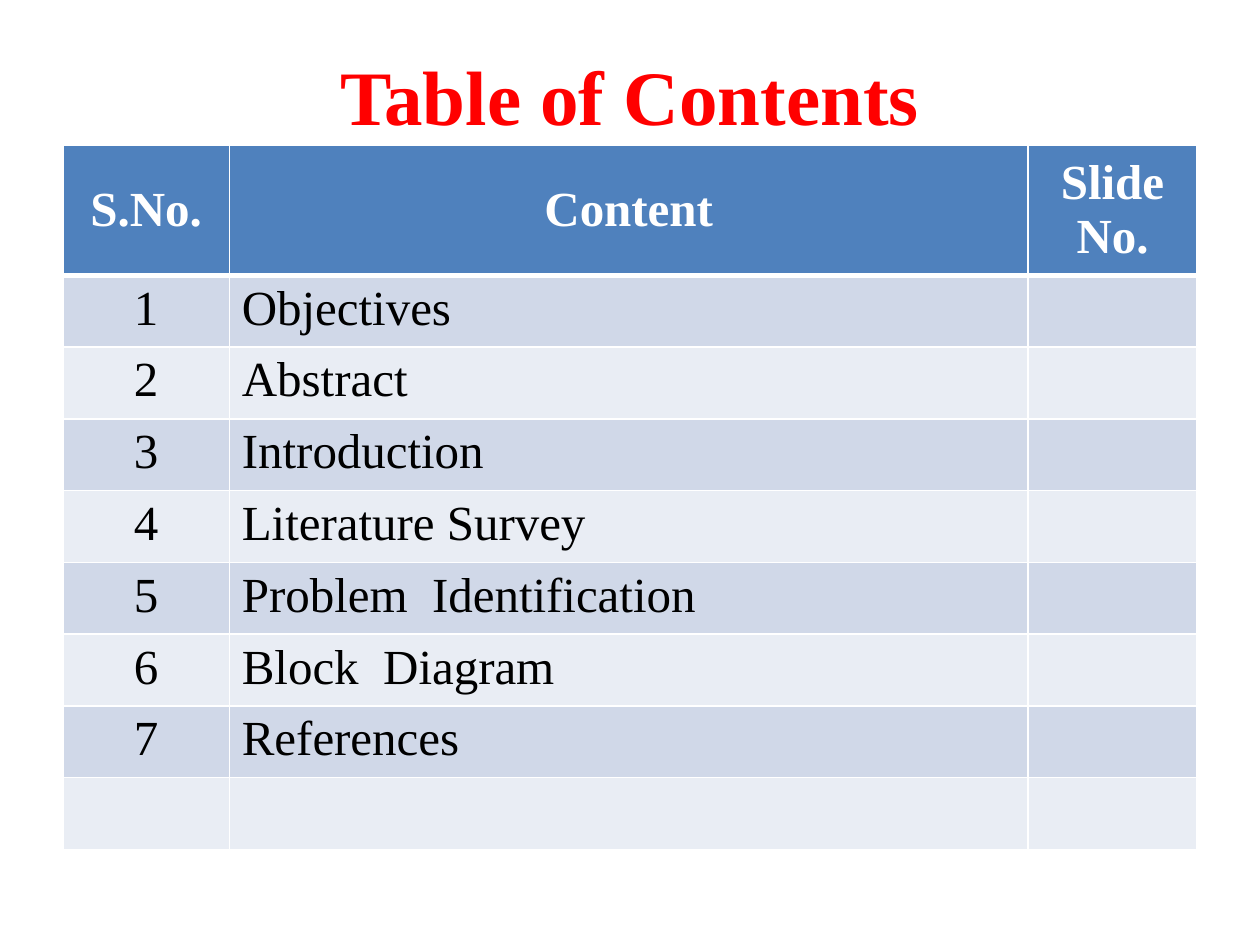
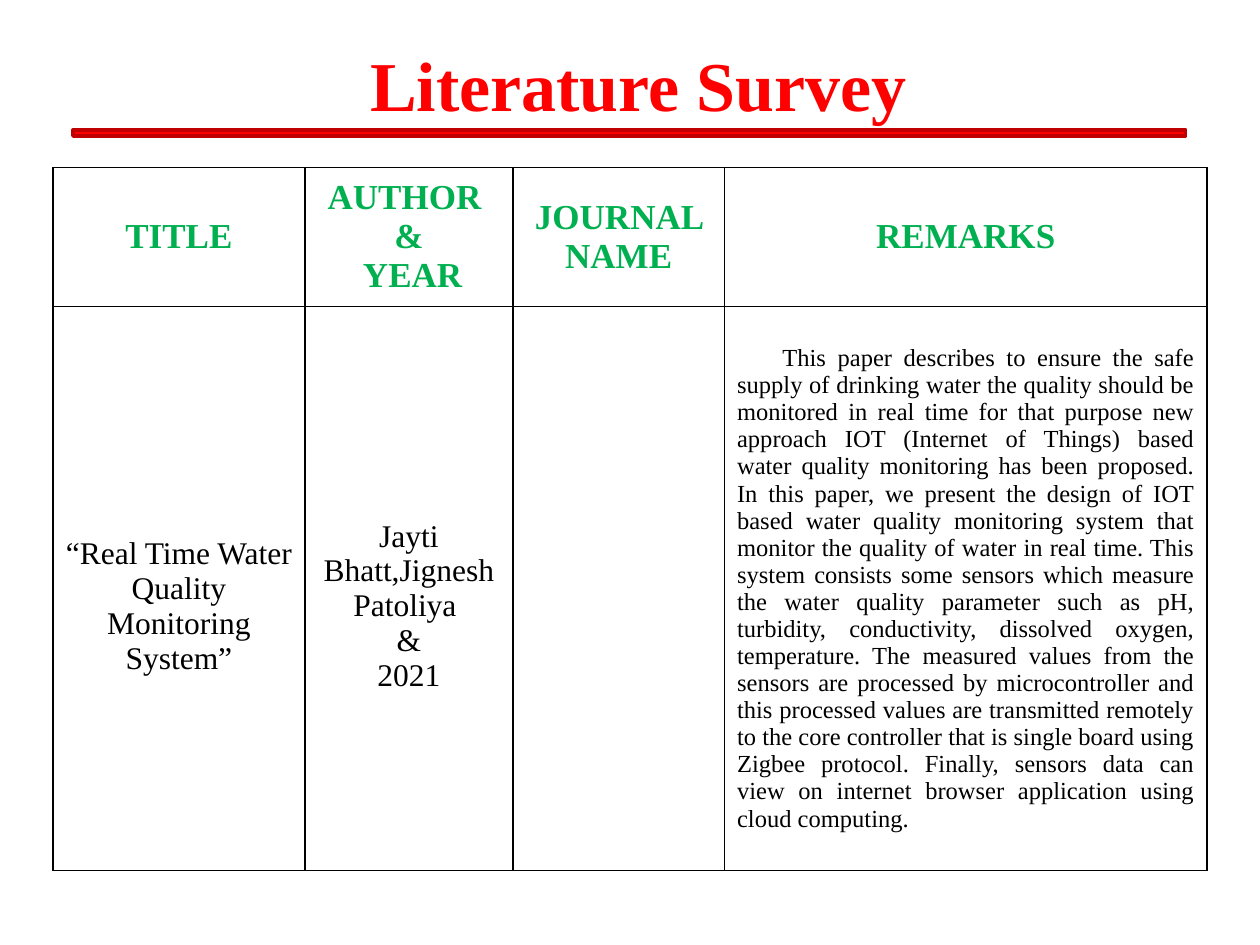
"""Builds the contents slide and the literature survey slide."""
import pptx
import pptx.dml.color
import pptx.enum.shapes
import pptx.enum.text
import pptx.oxml
import pptx.oxml.ns
import pptx.util

Inches = pptx.util.Inches
Pt = pptx.util.Pt
ALIGN = pptx.enum.text.PP_ALIGN
MIDDLE = pptx.enum.text.MSO_ANCHOR.MIDDLE
TOP = pptx.enum.text.MSO_ANCHOR.TOP

FACE = "Times New Roman"
RED, DARK, GREEN = "FF0000", "C00000", "00B050"
BLACK, WHITE, BLUE = "000000", "FFFFFF", "4F81BD"
BANDS = ["D0D8E8", "E9EDF4"]
PLAIN = "{2D5ABB26-0587-4C30-8999-92F81FD0307C}"

TOPICS = ["Objectives", "Abstract", "Introduction", "Literature Survey",
          "Problem  Identification", "Block  Diagram", "References"]
INDEX = [["S.No.", "Content", "Slide No."]]
INDEX += [[str(num), topic, ""] for num, topic in enumerate(TOPICS, 1)]
INDEX += [["", "", ""]]

REMARK = (
    "This paper describes to ensure the safe supply of drinking water the "
    "quality should be monitored in real time for that purpose new approach "
    "IOT (Internet of Things) based water quality monitoring has been "
    "proposed. In this paper, we present the design of IOT based water "
    "quality monitoring system that monitor the quality of water in real "
    "time. This system consists some sensors which measure the water quality "
    "parameter such as pH, turbidity, conductivity, dissolved oxygen, "
    "temperature. The measured values from the sensors are processed by "
    "microcontroller and this processed values are transmitted remotely to "
    "the core controller that is single board using Zigbee protocol. "
    "Finally, sensors data can view on internet browser application using "
    "cloud computing.")
SURVEY = [
    ["TITLE", "AUTHOR \n&\n YEAR", "JOURNAL NAME", "REMARKS"],
    ["“Real Time Water Quality Monitoring System”",
     "Jayti Bhatt,Jignesh Patoliya \n&\n2021", "", REMARK],
]


def color(code):
    return pptx.dml.color.RGBColor.from_string(code)


def write(frame, text, size, code, bold=False, align=ALIGN.CENTER):
    frame.text = text
    for para in frame.paragraphs:
        para.alignment = align
        font = para.font
        font.name, font.size, font.bold = FACE, Pt(size), bold
        font.color.rgb = color(code)


def add_title(slide, text, top, height, size):
    box = slide.shapes.add_textbox(Inches(0.5), Inches(top),
                                   Inches(9), Inches(height))
    frame = box.text_frame
    frame.word_wrap = True
    frame.vertical_anchor = MIDDLE
    write(frame, text, size, RED, True)


def add_grid(slide, left, top, cols, rows):
    frame = slide.shapes.add_table(
        len(rows), len(cols), Inches(left), Inches(top),
        Inches(sum(cols)), Inches(sum(rows)))
    table = frame.table
    table.first_row = table.horz_banding = False
    props = table._tbl.tblPr
    props.find(pptx.oxml.ns.qn("a:tableStyleId")).text = PLAIN
    for col, width in zip(table.columns, cols):
        col.width = Inches(width)
    for row, height in zip(table.rows, rows):
        row.height = Inches(height)
    return table


def add_edges(cell, code, top=1, bottom=1):
    props = cell._tc.get_or_add_tcPr()
    widths = {"L": 1, "R": 1, "T": top, "B": bottom}
    for spot, (side, width) in enumerate(widths.items()):
        props.insert(spot, pptx.oxml.parse_xml(
            f'<a:ln{side} {pptx.oxml.ns.nsdecls("a")} w="{Pt(width)}">'
            f'<a:solidFill><a:srgbClr val="{code}"/></a:solidFill>'
            f'</a:ln{side}>'))


def make_index(slide):
    add_title(slide, "Table of Contents", 0.13, 1.25, 44)
    rows = [1.03] + [0.57] * (len(INDEX) - 1)
    table = add_grid(slide, 0.5, 1.15, [1.32, 6.34, 1.34], rows)
    for r, line in enumerate(INDEX):
        head = r == 0
        for c, text in enumerate(line):
            cell = table.cell(r, c)
            cell.fill.solid()
            cell.fill.fore_color.rgb = color(BLUE if head else BANDS[(r - 1) % 2])
            cell.vertical_anchor = MIDDLE if head else TOP
            align = ALIGN.CENTER if head or c == 0 else ALIGN.LEFT
            write(cell.text_frame, text, 28, WHITE if head else BLACK, head, align)
            add_edges(cell, WHITE, 3 if r == 1 else 1, 3 if head else 1)


def make_survey(slide):
    bar = slide.shapes.add_shape(
        pptx.enum.shapes.MSO_SHAPE.RECTANGLE,
        Inches(0.58), Inches(1.03), Inches(8.83), Inches(0.05))
    bar.shadow.inherit = False
    bar.fill.solid()
    bar.fill.fore_color.rgb = color(RED)
    bar.line.color.rgb = color(DARK)
    bar.line.width = Pt(2)
    add_title(slide, " Literature Survey", 0, 1.33, 40)
    table = add_grid(slide, 0.42, 1.33, [2, 1.65, 1.68, 3.83], [1.1, 4.48])
    for r, line in enumerate(SURVEY):
        head = r == 0
        for c, text in enumerate(line):
            cell = table.cell(r, c)
            cell.fill.background()
            cell.vertical_anchor = MIDDLE
            size, code = (20, GREEN) if head else (18, BLACK)
            write(cell.text_frame, text, size, code, head)
            if not head and c < 2:
                cell.margin_top = Inches(0.33)
            add_edges(cell, BLACK)
    frame = table.cell(1, 3).text_frame
    write(frame, REMARK, 14, BLACK, align=ALIGN.JUSTIFY)
    frame.paragraphs[0]._p.get_or_add_pPr().set("indent", str(Inches(0.36)))


def main():
    deck = pptx.Presentation()
    deck.slide_width, deck.slide_height = Inches(10), Inches(7.5)
    for make in (make_index, make_survey):
        make(deck.slides.add_slide(deck.slide_layouts[6]))
    deck.save("out.pptx")


if __name__ == "__main__":
    main()
